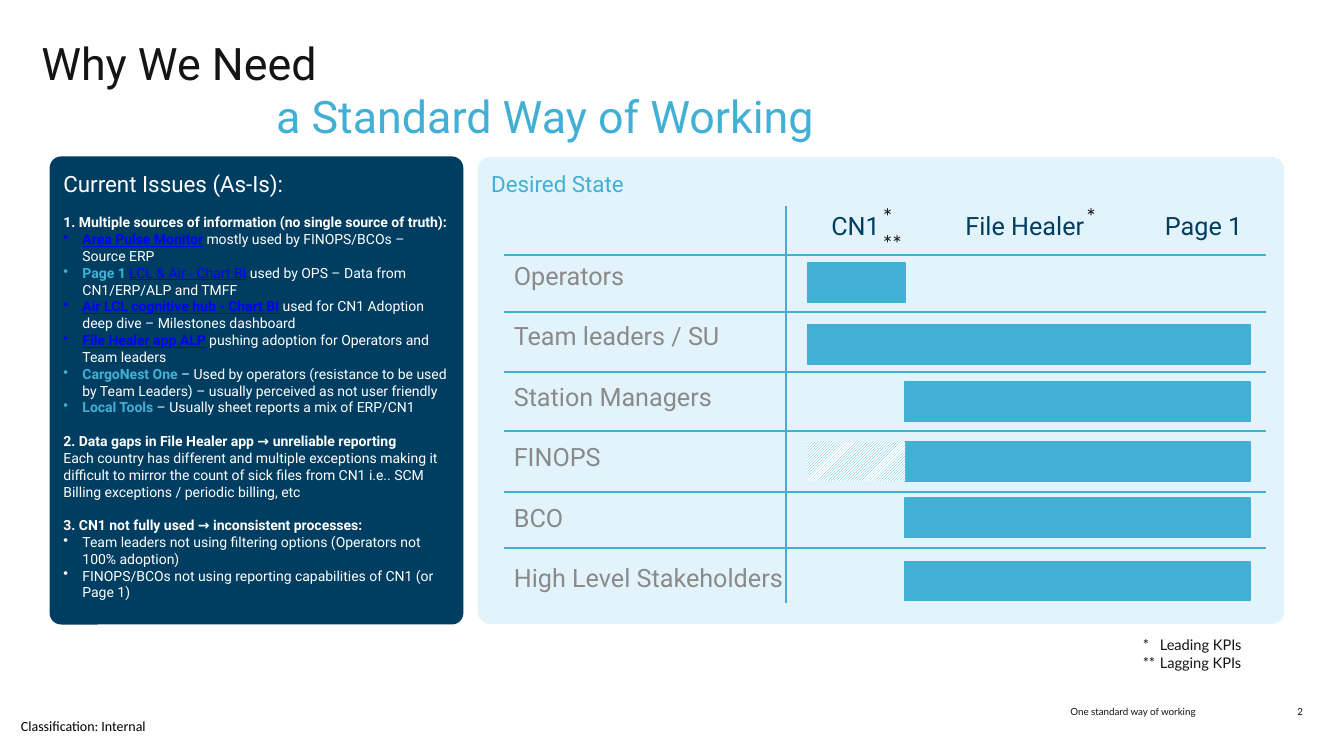
from lxml import etree
from pptx import Presentation
from pptx.dml.color import RGBColor
from pptx.enum.dml import MSO_PATTERN
from pptx.enum.shapes import MSO_CONNECTOR, MSO_SHAPE
from pptx.enum.text import MSO_ANCHOR, MSO_AUTO_SIZE, PP_ALIGN
from pptx.oxml.ns import qn
from pptx.util import Cm, Pt

LEFT, RIGHT = PP_ALIGN.LEFT, PP_ALIGN.RIGHT
TOP = MSO_ANCHOR.TOP
RECT, ROUNDED = MSO_SHAPE.RECTANGLE, MSO_SHAPE.ROUNDED_RECTANGLE
STRAIGHT = MSO_CONNECTOR.STRAIGHT
DIAGONAL = MSO_PATTERN.DARK_UPWARD_DIAGONAL
NO_FIT = MSO_AUTO_SIZE.NONE

SKY, NAVY, PALE = "42B0D5", "003E61", "E2F3FB"
WHITE, INK, GREY, LINK = "FFFFFF", "141414", "8A8A8A", "0000FF"


def colour(hex_text):
    return RGBColor.from_string(hex_text)


class SlideBuilder:
    heading_font = "Roboto"
    note_font = "Lato"

    def __init__(self, slide):
        self.slide = slide
        self.shapes = slide.shapes

    def frame(self, shape, insets):
        frame = shape.text_frame
        frame.word_wrap = True
        frame.auto_size = NO_FIT
        frame.vertical_anchor = TOP
        (frame.margin_left, frame.margin_top,
         frame.margin_right, frame.margin_bottom) = map(Cm, insets)
        return frame

    def paragraph(self, frame, content, size, ink, font=None, bold=False,
                  align=LEFT, before=0, indent=0, bullet=False, tabs=()):
        first = not frame.paragraphs[0].runs
        para = frame.paragraphs[0] if first else frame.add_paragraph()
        props = para._p.get_or_add_pPr()
        if indent:
            props.set("marL", str(Cm(indent)))
        if before:
            para.space_before = Pt(before)
        if bullet:
            props.set("indent", str(-Cm(indent)))
            etree.SubElement(props, qn("a:buChar"), char="•")
        if tabs:
            stops = etree.SubElement(props, qn("a:tabLst"))
            for stop in tabs:
                etree.SubElement(stops, qn("a:tab"), pos=str(Cm(stop)), algn="l")
        para.alignment = align
        para.font.name = font or self.heading_font
        para.font.size = Pt(size)
        if isinstance(content, str):
            para.font.bold = bold
            para.font.color.rgb = colour(ink)
            para.add_run().text = content
            return
        for words, run_ink, run_bold, underlined in content:
            run = para.add_run()
            run.text = words
            run.font.color.rgb = colour(run_ink)
            run.font.bold = run_bold
            run.font.underline = underlined

    def title(self, box, lines):
        holder = self.shapes.title
        holder.left, holder.top, holder.width, holder.height = map(Cm, box)
        frame = self.frame(holder, (0, 0, 0, 0))
        for words, ink, indent in lines:
            self.paragraph(frame, words, 32, ink, indent=indent)

    def text(self, box, lines, size, ink, insets=(0, 0, 0, 0), **style):
        frame = self.frame(self.shapes.add_textbox(*map(Cm, box)), insets)
        gap = style.pop("gap", 0)
        for index, words in enumerate(lines):
            self.paragraph(frame, words, size, ink, before=gap if index else 0, **style)

    def block(self, kind, box, fill, line=None, hatched=False):
        shape = self.shapes.add_shape(kind, *map(Cm, box))
        shape.shadow.inherit = False
        if hatched:
            shape.fill.patterned()
            shape.fill.pattern = DIAGONAL
            shape.fill.fore_color.rgb = colour(fill)
            shape.fill.back_color.rgb = colour(WHITE)
        else:
            shape.fill.solid()
            shape.fill.fore_color.rgb = colour(fill)
        if line:
            shape.line.color.rgb = colour(line)
            shape.line.width = Pt(1)
        else:
            shape.line.fill.background()
        return shape

    def panel(self, box, fill, heading, ink, line=None):
        shape = self.block(ROUNDED, box, fill, line)
        shape.adjustments[0] = 0.026
        frame = self.frame(shape, (0.25, 0.25, 0.25, 0.66))
        self.paragraph(frame, heading, 16, ink)
        return frame

    def rule(self, x1, y1, x2, y2):
        line = self.shapes.add_connector(STRAIGHT, Cm(x1), Cm(y1), Cm(x2), Cm(y2))
        line.line.color.rgb = colour(SKY)
        line.line.width = Pt(1.5)
        etree.SubElement(line._element.spPr, qn("a:effectLst"))


def link(words, bold=True):
    return words, LINK, bold, True


def strong(words):
    return words, SKY, True, False


def plain(words):
    return words, WHITE, False, False


ISSUES = [
    ("1. Multiple sources of information (no single source of truth):", [
        [link("Area Pulse Monitor"), plain(" mostly used by FINOPS/BCOs – Source ERP")],
        [strong("Page 1 "), link("LCL & Air - Chart BI", False),
         plain(" used by OPS – Data from CN1/ERP/ALP and TMFF")],
        [link("Air LCL cognitive hub - Chart BI"),
         plain(" used for CN1 Adoption deep dive – Milestones dashboard")],
        [link("File Healer app ALP"), plain(" pushing adoption for Operators and Team leaders")],
        [strong("CargoNest One "),
         plain("– Used by operators (resistance to be used by Team Leaders) – "
               "usually perceived as not user friendly")],
        [strong("Local Tools "), plain("– Usually sheet reports a mix of ERP/CN1")],
    ]),
    ("2. Data gaps in File Healer app → unreliable reporting",
     "Each country has different and multiple exceptions making it difficult to mirror "
     "the count of sick files from CN1 i.e.. SCM Billing exceptions / periodic billing, etc"),
    ("3. CN1 not fully used → inconsistent processes:", [
        [plain("Team leaders not using filtering options (Operators not 100% adoption)")],
        [plain("FINOPS/BCOs not using reporting capabilities of CN1 (or Page 1)")],
    ]),
]

CN1_START, HEALER_START, PAGE_END = 20.35, 22.81, 31.5
ROLES = [
    ("Operators", 6.43, 6.63, CN1_START, HEALER_START),
    ("Team leaders / SU", 7.87, 8.18, CN1_START, PAGE_END),
    ("Station Managers", 9.37, 9.63, HEALER_START, PAGE_END),
    ("FINOPS", 10.85, 11.13, HEALER_START, PAGE_END),
    ("BCO", 12.4, 12.55, HEALER_START, PAGE_END),
    ("High Level Stakeholders", 13.82, 14.15, HEALER_START, PAGE_END),
]
BAR_HEIGHT = 0.99
DEFAULT_INSETS = (0.25, 0.13, 0.25, 0.13)
WIDE_INSETS = (0.66,) * 4


def main():
    deck = Presentation()
    deck.slide_width, deck.slide_height = Cm(33.87), Cm(19.05)
    page = SlideBuilder(deck.slides.add_slide(deck.slide_layouts[5]))

    page.text((0.53, 18.08, 3.23, 0.43), ["Classification: Internal"], 10, "000000",
              font="Calibri")
    for box, words in [((21.01, 17.78, 9.12, 0.51), "One standard way of working"),
                       ((31.7, 17.78, 1.14, 0.51), "2")]:
        page.text(box, [words], 7, INK, font=page.note_font, align=RIGHT)

    page.title((1.04, 0.89, 32.44, 2.59),
               [("Why We Need", INK, 0), ("a Standard Way of Working", SKY, 5.92)])

    page.panel((12.04, 3.96, 20.32, 11.76), PALE, "Desired State", SKY)
    issues = page.panel((1.27, 3.96, 10.39, 11.76), NAVY, "Current Issues (As-Is):",
                        WHITE, NAVY)
    for heading, details in ISSUES:
        page.paragraph(issues, heading, 10, WHITE, bold=True, before=12)
        if isinstance(details, str):
            page.paragraph(issues, details, 10, WHITE)
            continue
        for item in details:
            page.paragraph(issues, item, 10, WHITE, indent=0.48, bullet=True)

    page.text((12.7, 6.43, 16.94, 8.71), [role[0] for role in ROLES], 18, GREY,
              DEFAULT_INSETS, gap=21.6)
    page.rule(19.81, 5.18, 19.81, 15.19)
    for role, rule_top, bar_top, start, end in ROLES:
        page.rule(12.7, rule_top, 31.9, rule_top)
        page.block(RECT, (start, bar_top, end - start, BAR_HEIGHT), SKY, SKY)
        if role == "FINOPS":
            page.block(RECT, (CN1_START, bar_top, HEALER_START - CN1_START, BAR_HEIGHT),
                       SKY, hatched=True)

    page.text((21.59, 4.47, 10.77, 2.01), ["*\t*", "**"], 16, INK, WIDE_INSETS,
              font=page.note_font, tabs=[5.13])
    page.text((20.7, 5.16, 11.5, 1.02), ["CN1\tFile Healer\tPage 1"], 18, NAVY,
              DEFAULT_INSETS, tabs=[3.38, 8.41])
    page.text((28.14, 15.37, 4.45, 2.24), ["*\tLeading KPIs", "**\tLagging KPIs"], 10.5,
              INK, WIDE_INSETS, font=page.note_font, tabs=[0.43])

    deck.save("out.pptx")


if __name__ == "__main__":
    main()
